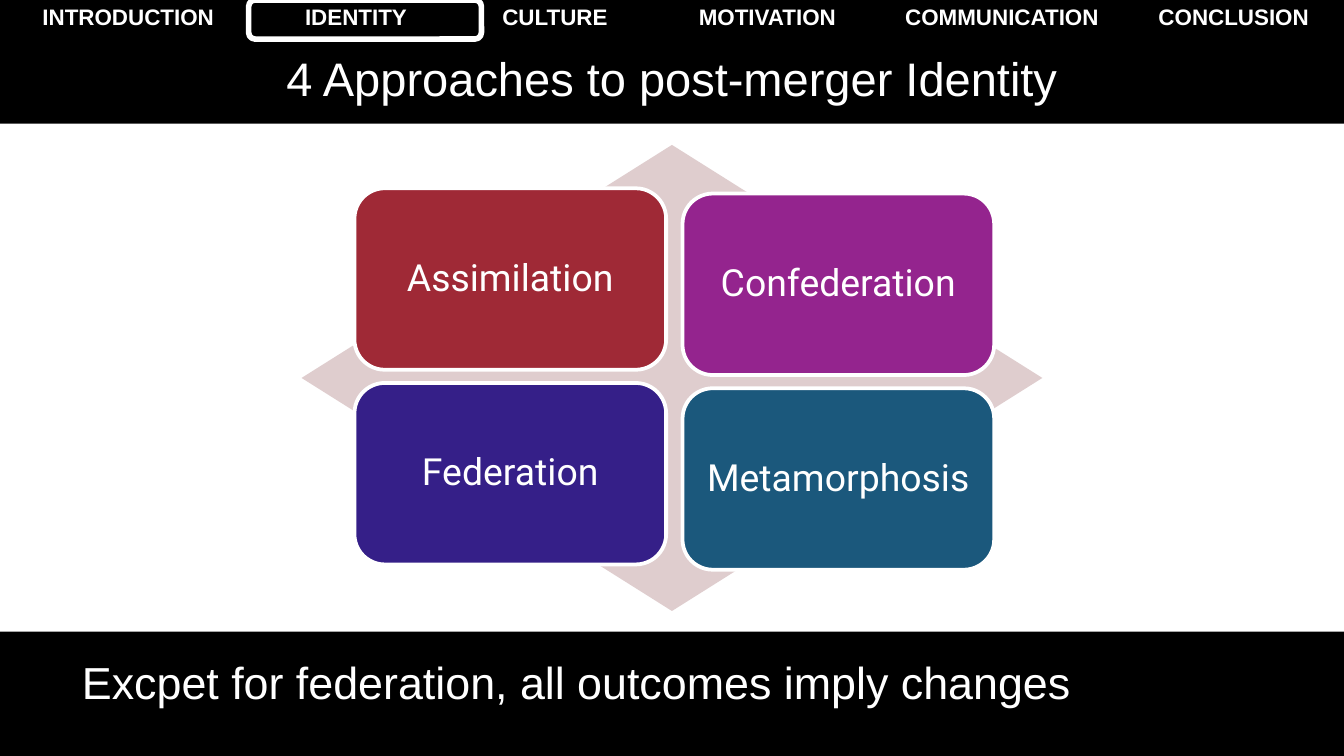
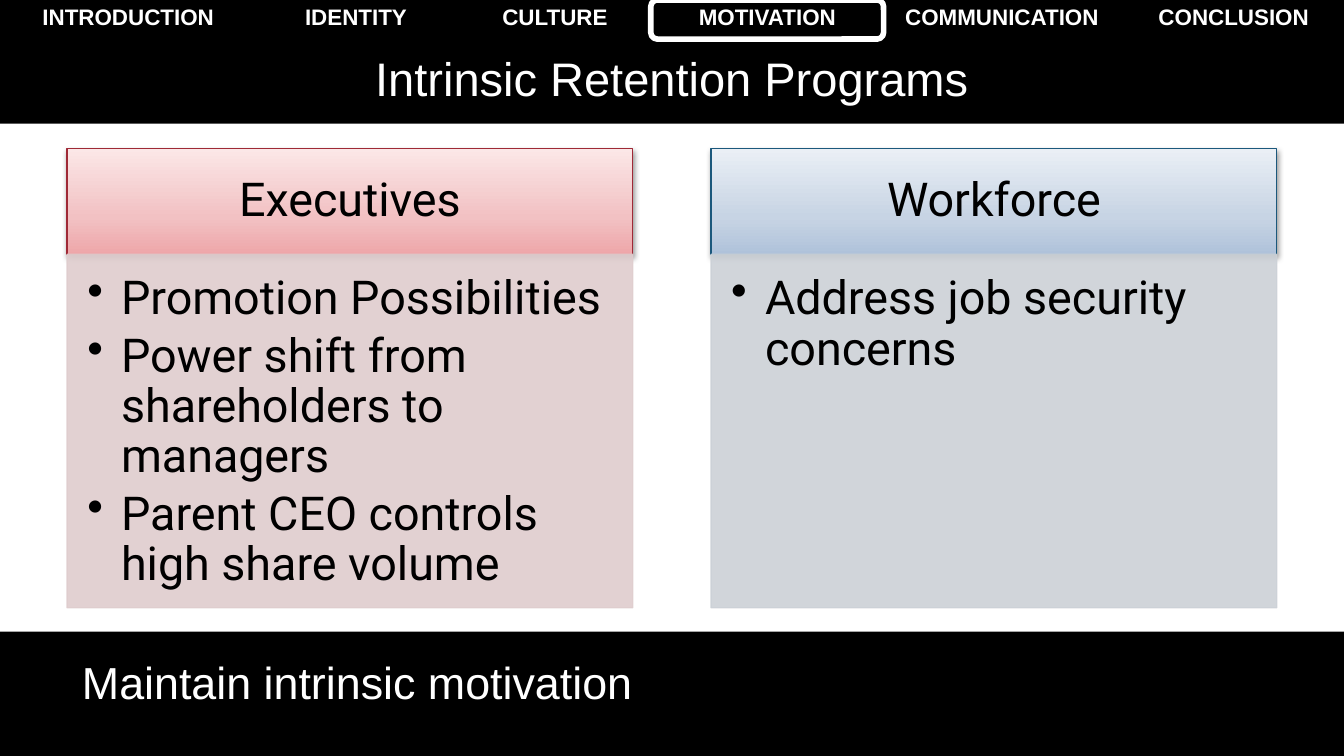
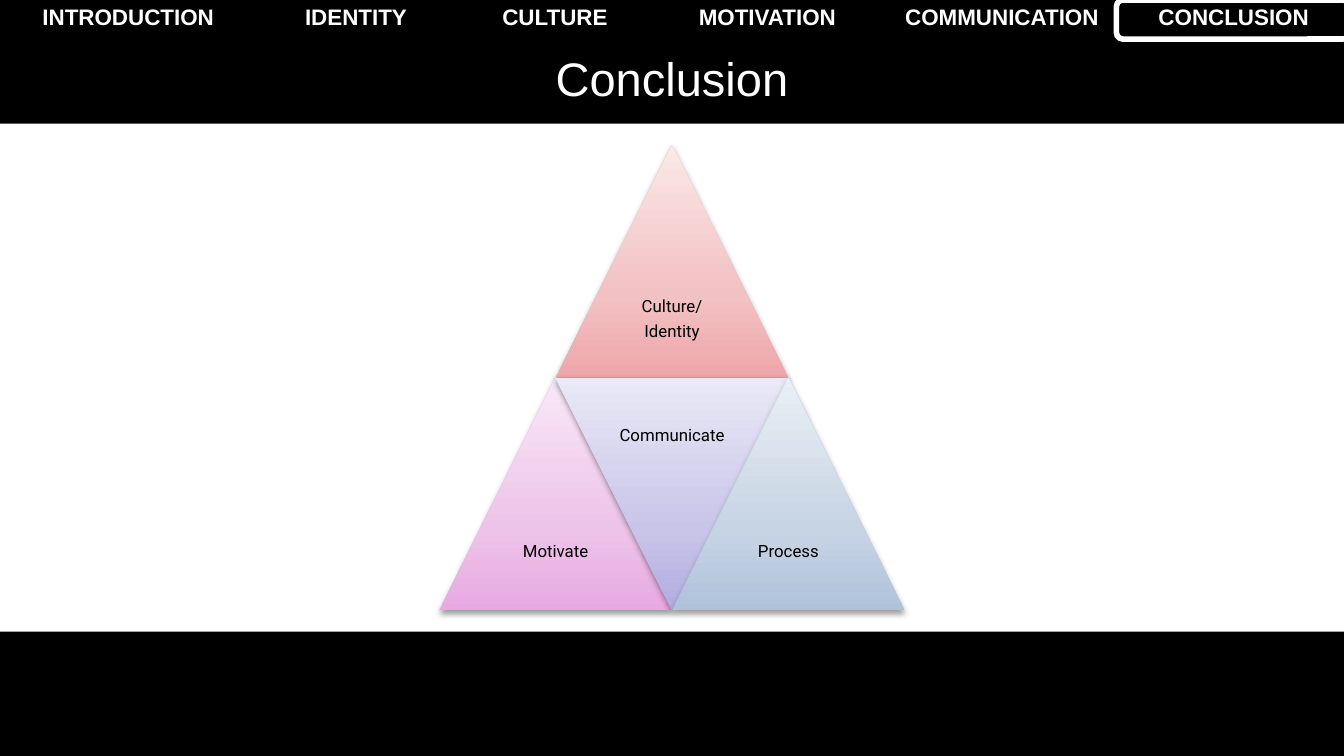
from pptx import Presentation
from pptx.dml.color import RGBColor
from pptx.enum.shapes import MSO_SHAPE
from pptx.enum.text import MSO_ANCHOR, PP_ALIGN
from pptx.oxml import parse_xml
from pptx.oxml.ns import nsdecls, qn
from pptx.util import Cm, Pt

HUES = {
    "black": "000000", "white": "FFFFFF", "blush": "DFCDCE", "mist": "CCD1D7",
    "red": "9F2936", "plum": "94248E", "violet": "351F88", "blue": "1B587C",
    "red low": "EEA6A9", "red mid": "F2C1C3", "red top": "FBE7E7",
    "plum low": "E7A9E2", "plum mid": "EDC3E9", "plum top": "F9E8F7",
    "violet low": "B1ACE0", "violet mid": "C8C5E8", "violet top": "EAE9F7",
    "blue low": "AFC2DA", "blue mid": "C7D4E4", "blue top": "EAEFF5",
}
HEAD = {"name": "Arial", "size": Pt(25.2)}
FOOT = {"name": "Arial", "size": Pt(24)}
MENU = {"name": "Arial", "size": Pt(12), "bold": True}
CARD = {"name": "Roboto", "size": Pt(20)}
LIST = {"name": "Roboto", "size": Pt(25)}
TINY = {"name": "Roboto", "size": Pt(9)}
MID = {"alignment": PP_ALIGN.CENTER}
TIGHT = {"alignment": PP_ALIGN.CENTER, "line_spacing": 0.9}
ITEM = {"alignment": PP_ALIGN.LEFT, "line_spacing": 0.9, "space_after": Pt(3.75)}


def draw(page, kind, box, fill=None, line=None, width=2, fade=False):
    shape = page.shapes.add_shape(kind, *map(Cm, box))
    shape.shadow.inherit = False
    props = shape._element.spPr
    if fade:
        stops = "".join(
            f'<a:gs pos="{pos}"><a:srgbClr val="{HUES[f"{fill} {tone}"]}"/></a:gs>'
            for pos, tone in ((0, "low"), (35000, "mid"), (100000, "top")))
        props.insert(2, parse_xml(
            f'<a:gradFill {nsdecls("a")} rotWithShape="0"><a:gsLst>{stops}</a:gsLst>'
            '<a:lin ang="16200000" scaled="0"/></a:gradFill>'))
        props.find(qn("a:effectLst")).append(parse_xml(
            f'<a:outerShdw {nsdecls("a")} blurRad="40000" dist="20000" dir="5400000" '
            'rotWithShape="0"><a:srgbClr val="000000"><a:alpha val="38000"/>'
            '</a:srgbClr></a:outerShdw>'))
    elif fill:
        shape.fill.solid()
        shape.fill.fore_color.rgb = RGBColor.from_string(HUES[fill])
    else:
        shape.fill.background()
    if line:
        shape.line.color.rgb = RGBColor.from_string(HUES[line])
        shape.line.width = Pt(width)
    else:
        shape.line.fill.background()
    return shape


def write(frame, lines, look, form, hue, pads=(0.25, 0.13, 0.25, 0.13),
          anchor=MSO_ANCHOR.MIDDLE, dots=False):
    frame.word_wrap = True
    frame.vertical_anchor = anchor
    for side, pad in zip(("left", "top", "right", "bottom"), pads):
        setattr(frame, f"margin_{side}", Cm(pad))
    for rank, line in enumerate(lines):
        para = frame.add_paragraph() if rank else frame.paragraphs[0]
        if dots:
            props = para._p.get_or_add_pPr()
            props.set("marL", str(Cm(0.64)))
            props.set("indent", str(-Cm(0.64)))
            props.append(parse_xml(f'<a:buChar {nsdecls("a")} char="•"/>'))
        for key, value in form.items():
            setattr(para, key, value)
        run = para.add_run()
        run.text = line
        for key, value in look.items():
            setattr(run.font, key, value)
        run.font.color.rgb = RGBColor.from_string(HUES[hue])


deck = Presentation()
deck.slide_width, deck.slide_height = Cm(25.4), Cm(14.29)

TABS = (("INTRODUCTION", 4.85), ("IDENTITY", 3.76), ("CULTURE", 3.76),
        ("MOTIVATION", 4.27), ("COMMUNICATION", 4.6), ("CONCLUSION", 4.16))
PAGES = (
    ("4 Approaches to post-merger Identity",
     "Excpet for federation, all outcomes imply changes", 4.7),
    ("Intrinsic Retention Programs", "Maintain intrinsic motivation", 12.3),
    ("Conclusion", None, 21.1),
)
pages = []
for title, note, left in PAGES:
    page = deck.slides.add_slide(deck.slide_layouts[6])
    pages.append(page)
    draw(page, MSO_SHAPE.RECTANGLE, (0, 0, 25.4, 14.29), "black", "black")
    draw(page, MSO_SHAPE.RECTANGLE, (0, 2.34, 25.4, 9.6), "white")
    grid = page.shapes.add_table(1, len(TABS), 0, 0, Cm(25.4), Cm(0.76)).table
    grid._tbl.tblPr.find(qn("a:tableStyleId")).text = "{2D5ABB26-0587-4C30-8999-92F81FD0307C}"
    grid.rows[0].height = Cm(0.76)
    for rank, (name, width) in enumerate(TABS):
        grid.columns[rank].width = Cm(width)
        cell = grid.cell(0, rank)
        cell.fill.background()
        cell.margin_top = cell.margin_bottom = Cm(0.1)
        write(cell.text_frame, [name], MENU, MID, "white", anchor=MSO_ANCHOR.TOP)
        cell.margin_top = cell.margin_bottom = Cm(0.1)
    box = page.shapes.add_textbox(*map(Cm, (1.27, 0.94, 22.86, 1.04)))
    write(box.text_frame, [title], HEAD, MID, "white")
    if note:
        box = page.shapes.add_textbox(*map(Cm, (1.3, 12.24, 23.01, 1.65)))
        write(box.text_frame, [note], FOOT, {}, "white", anchor=MSO_ANCHOR.TOP)
    draw(page, MSO_SHAPE.ROUNDED_RECTANGLE, (left, 0, 4.4, 0.74), None, "white", 3)

ways, plans, close = pages

draw(ways, MSO_SHAPE.DIAMOND, (5.7, 2.74, 14, 8.81), "blush")
CARDS = (("Assimilation", "red"), ("Confederation", "plum"),
         ("Federation", "violet"), ("Metamorphosis", "blue"))
for rank, (name, hue) in enumerate(CARDS):
    row, col = divmod(rank, 2)
    spot = (6.7 + 6.2 * col, 3.56 + 3.68 * row + 0.1 * col, 5.89, 3.43)
    card = draw(ways, MSO_SHAPE.ROUNDED_RECTANGLE, spot, hue, "white")
    write(card.text_frame, [name], CARD, TIGHT, "white", (0.2,) * 4)

PLANS = (
    ("Executives", "red", "blush",
     ("Promotion Possibilities", "Power shift from shareholders to managers",
      "Parent CEO controls high share volume")),
    ("Workforce", "blue", "mist", ("Address job security concerns",)),
)
for rank, (name, hue, tint, items) in enumerate(PLANS):
    left = 1.27 + 12.17 * rank
    top = draw(plans, MSO_SHAPE.RECTANGLE, (left, 2.81, 10.69, 2), hue, hue, 0.75, True)
    write(top.text_frame, [name], LIST, TIGHT, "black", (0.48, 0.28, 0.48, 0.28))
    panel = draw(plans, MSO_SHAPE.RECTANGLE, (left, 4.81, 10.69, 6.68), tint, tint, 0.75)
    for tone in panel._element.spPr.iter(qn("a:srgbClr")):
        tone.append(parse_xml(f'<a:alpha {nsdecls("a")} val="90000"/>'))
    write(panel.text_frame, items, LIST, ITEM, "black", (0.38, 0.38, 0.48, 0.56),
          MSO_ANCHOR.TOP, True)

SIDE = 4.4
PARTS = (
    (("Culture/", "Identity"), "red", 1, 0, 0),
    (("Motivate",), "plum", 0, 1, 0),
    (("Communicate",), "violet", 1, 1, 180),
    (("Process",), "blue", 2, 1, 0),
)
for lines, hue, step, row, turn in PARTS:
    left, top = 8.3 + step * SIDE / 2, 2.74 + row * SIDE
    part = draw(close, MSO_SHAPE.ISOSCELES_TRIANGLE, (left, top, SIDE, SIDE), hue, fade=True)
    part.rotation = turn
    drop = 0 if turn else SIDE / 2
    box = close.shapes.add_textbox(*map(Cm, (left + SIDE / 4, top + drop, SIDE / 2, SIDE / 2)))
    write(box.text_frame, lines, TINY, TIGHT | {"space_after": Pt(3.15)}, "black", (0.08,) * 4)

deck.save("out.pptx")
